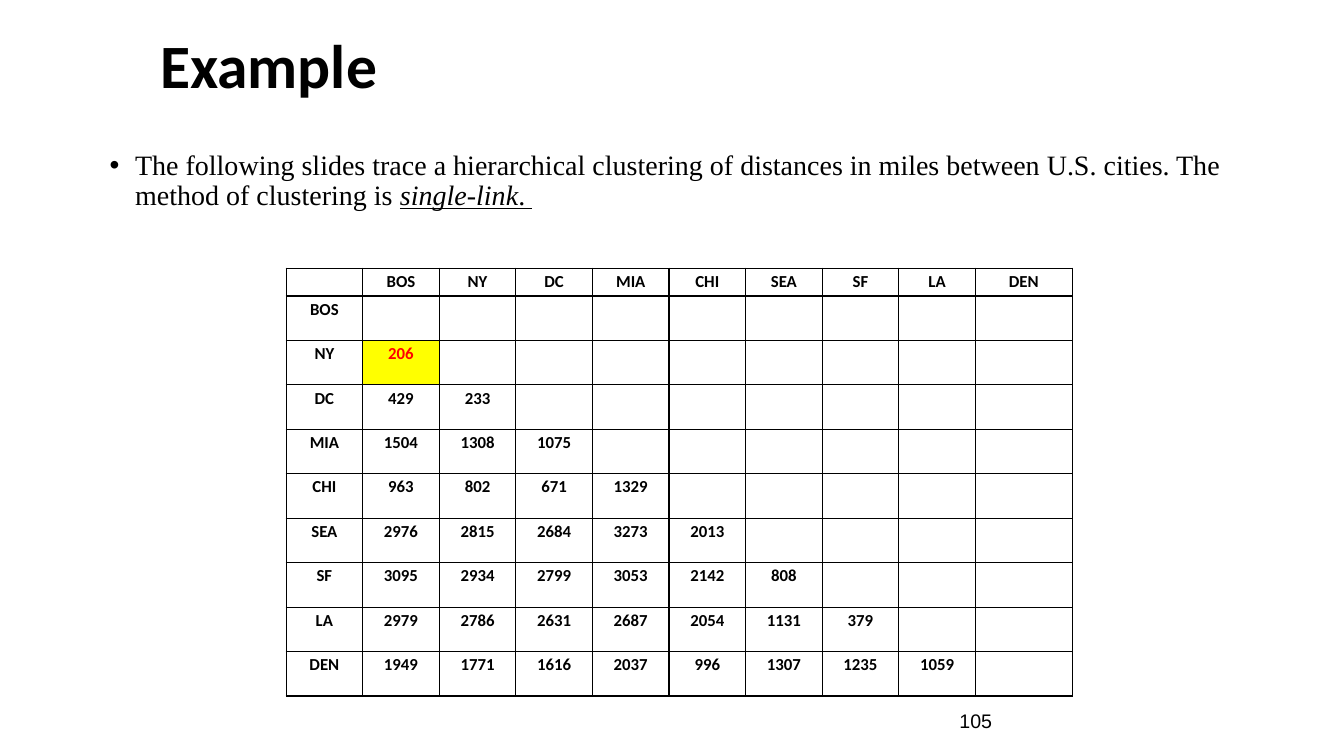
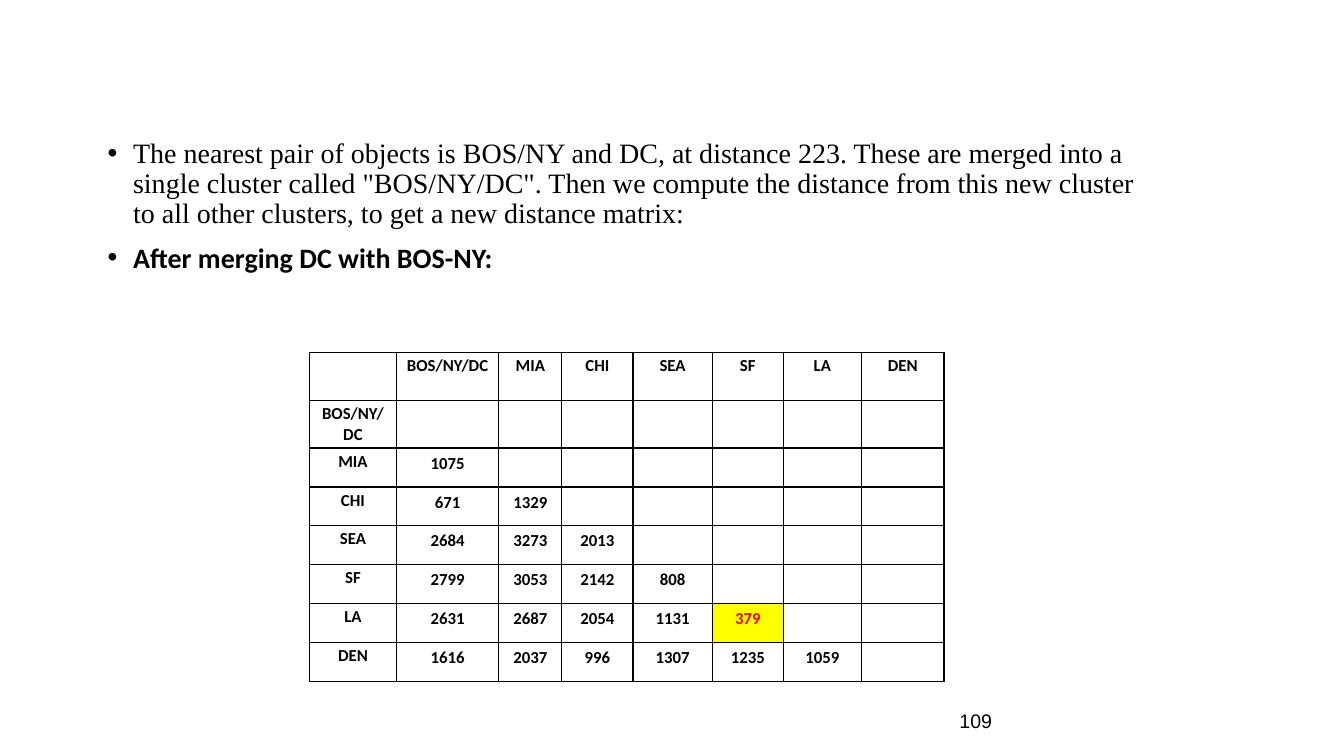
import pptx
import pptx.util
from lxml import etree
from pptx.dml.color import RGBColor
from pptx.enum.text import MSO_ANCHOR, MSO_AUTO_SIZE, PP_ALIGN
from pptx.oxml.ns import qn
from pptx.util import Cm

# Shared style
COLORS = {"text": "000000", "cell": "FFFFFF", "line": "000000",
          "nearest": "FF0000", "nearest_cell": "FFFF00"}
SERIF, SANS, PLAIN = "Times New Roman", "Calibri", "Arial"
CELL_SIZE = 12
LABEL_INSET = 0.08

# Content: each bullet is a list of (text, format); lengths are in centimetres
SLIDES = [
    {
        "title": "Example",
        "body_area": (2.51, 3.68, 28.83, 12.57),
        "bullets": [[
            ("The following slides trace a hierarchical clustering of distances in miles "
             "between U.S. cities. The method of clustering is ", {"font": SERIF}),
            ("single-link", {"font": SERIF, "italic": True, "underline": True}),
            (". ", {"font": SERIF, "underline": True}),
        ]],
        "table_corner": (7.21, 6.76),
        "widths": [1.93] * 9 + [2.44],
        "heights": [0.7] + [1.12] * 9,
        "value_inset": 0.08,
        "clusters": ["BOS", "NY", "DC", "MIA", "CHI", "SEA", "SF", "LA", "DEN"],
        "distances": [
            [],
            [206],
            [429, 233],
            [1504, 1308, 1075],
            [963, 802, 671, 1329],
            [2976, 2815, 2684, 3273, 2013],
            [3095, 2934, 2799, 3053, 2142, 808],
            [2979, 2786, 2631, 2687, 2054, 1131, 379],
            [1949, 1771, 1616, 2037, 996, 1307, 1235, 1059],
        ],
        "nearest": ("NY", "BOS"),
        "number": "105",
    },
    {
        "title": None,
        "body_area": (2.46, 3.38, 26.67, 11.63),
        "bullets": [
            [("The nearest pair of objects is BOS/NY and DC, at distance 223. These are "
              "merged into a single cluster called \"BOS/NY/DC\". Then we compute the "
              "distance from this new cluster to all other clusters, to get a new "
              "distance matrix:", {"font": SERIF})],
            [("After merging DC with BOS-NY:", {"font": SANS, "bold": True})],
        ],
        "table_corner": (7.8, 8.89),
        "widths": [2.19, 2.58, 1.59, 1.79, 2, 1.79, 1.97, 2.08],
        "heights": [1.2] * 2 + [0.98] * 6,
        "value_inset": 0.13,
        "clusters": ["BOS/NY/DC", "MIA", "CHI", "SEA", "SF", "LA", "DEN"],
        "distances": [
            [],
            [1075],
            [671, 1329],
            [2684, 3273, 2013],
            [2799, 3053, 2142, 808],
            [2631, 2687, 2054, 1131, 379],
            [1616, 2037, 996, 1307, 1235, 1059],
        ],
        "nearest": ("LA", "SF"),
        "number": "109",
    },
]


def write(para, text, font=SANS, size=20, color="text", bold=False,
          italic=False, underline=False, align=PP_ALIGN.LEFT):
    para.alignment = align
    span = para.add_run()
    span.text = text
    span.font.name = font
    span.font.size = pptx.util.Pt(size)
    span.font.color.rgb = RGBColor.from_string(COLORS[color])
    span.font.bold = bold
    span.font.italic = italic
    span.font.underline = underline


def place(box, left, top, width, height, anchor):
    box.left, box.top, box.width, box.height = map(Cm, (left, top, width, height))
    frame = box.text_frame
    frame.word_wrap = True
    frame.auto_size = MSO_AUTO_SIZE.NONE
    frame.vertical_anchor = anchor
    return frame


def add_title(page, text):
    box = page.shapes.title
    if text is None:
        box.element.getparent().remove(box.element)
        return
    para = place(box, 3.78, 0.61, 26.67, 2.24, MSO_ANCHOR.MIDDLE).paragraphs[0]
    para.line_spacing = 0.9
    write(para, text, size=44, bold=True)


def add_bullets(page, area, bullets):
    frame = place(page.placeholders[1], *area, MSO_ANCHOR.TOP)
    for index, spans in enumerate(bullets):
        para = frame.add_paragraph() if index else frame.paragraphs[0]
        properties = para._p.get_or_add_pPr()
        properties.set("marL", str(Cm(0.64)))
        properties.set("indent", str(-Cm(0.64)))
        para.line_spacing = 0.9
        para.space_before = pptx.util.Pt(10 if index else 0)
        for text, style in spans:
            write(para, text, **style)


def add_borders(cell):
    properties = cell._tc.get_or_add_tcPr()
    for position, side in enumerate(("lnL", "lnR", "lnT", "lnB")):
        line = etree.Element(qn(f"a:{side}"), w=str(pptx.util.Pt(1)))
        fill = etree.SubElement(line, qn("a:solidFill"))
        etree.SubElement(fill, qn("a:srgbClr"), val=COLORS["line"])
        properties.insert(position, line)


def format_cell(cell, text, inset, is_nearest):
    cell.margin_left = cell.margin_right = Cm(inset)
    cell.margin_top = cell.margin_bottom = Cm(inset)
    cell.fill.solid()
    fill = COLORS["nearest_cell" if is_nearest else "cell"]
    cell.fill.fore_color.rgb = RGBColor.from_string(fill)
    add_borders(cell)
    para = cell.text_frame.paragraphs[0]
    if text:
        write(para, text, size=CELL_SIZE, bold=True, align=PP_ALIGN.CENTER,
              color="nearest" if is_nearest else "text")
    else:
        # Keeps empty cells from stretching their row
        etree.SubElement(para._p, qn("a:endParaRPr"), sz=str(CELL_SIZE * 100))


def add_matrix(page, content):
    clusters, widths, heights = (content[key] for key in ("clusters", "widths", "heights"))
    left, top = content["table_corner"]
    table = page.shapes.add_table(len(heights), len(widths), Cm(left), Cm(top),
                                  Cm(sum(widths)), Cm(sum(heights))).table
    table.first_row = table.horz_banding = False
    for column, width in zip(table.columns, widths):
        column.width = Cm(width)
    for row, height in zip(table.rows, heights):
        row.height = Cm(height)

    grid = [[""] + clusters]
    for name, values in zip(clusters, content["distances"]):
        padding = [""] * (len(clusters) - len(values))
        grid.append([name] + [str(value) for value in values] + padding)
    nearest = tuple(clusters.index(name) + 1 for name in content["nearest"])
    for row, texts in enumerate(grid):
        for column, text in enumerate(texts):
            is_value = row and column and text
            inset = content["value_inset"] if is_value else LABEL_INSET
            format_cell(table.cell(row, column), text, inset, (row, column) == nearest)


def add_page_number(page, number):
    box = page.shapes.add_textbox(0, 0, 0, 0)
    frame = place(box, 23.93, 17.65, 7.62, 1.02, MSO_ANCHOR.MIDDLE)
    write(frame.paragraphs[0], number, font=PLAIN, size=14)


def main():
    deck = pptx.Presentation()
    deck.slide_width, deck.slide_height = Cm(33.87), Cm(19.05)
    for content in SLIDES:
        page = deck.slides.add_slide(deck.slide_layouts[1])
        add_title(page, content["title"])
        add_bullets(page, content["body_area"], content["bullets"])
        add_matrix(page, content)
        add_page_number(page, content["number"])
    deck.save("out.pptx")


if __name__ == "__main__":
    main()
